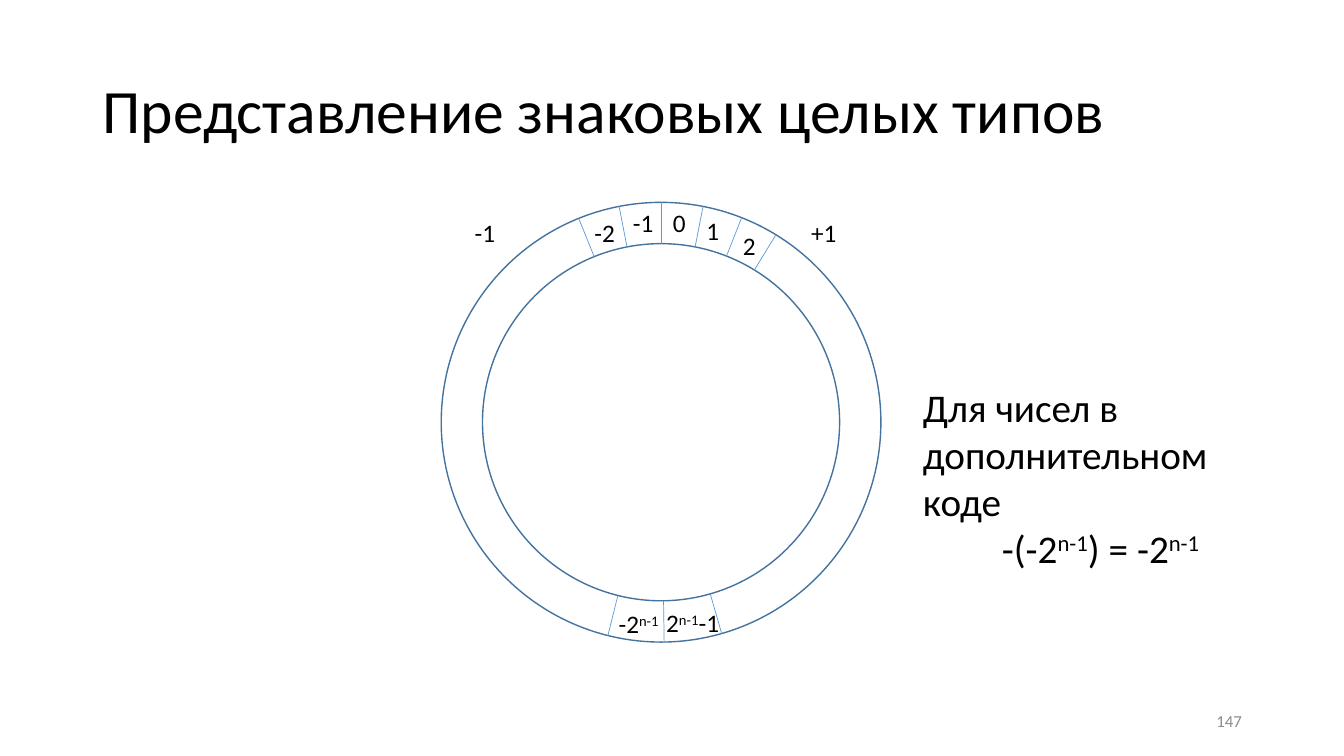
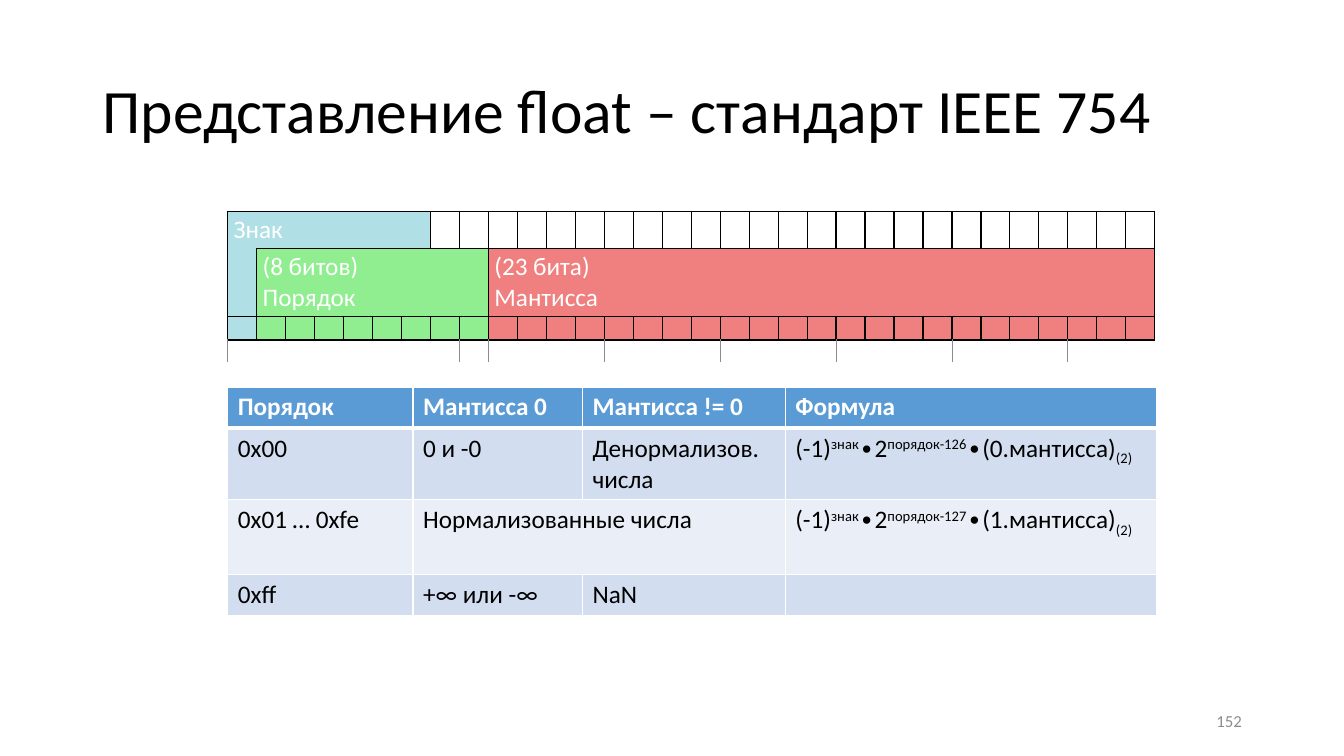
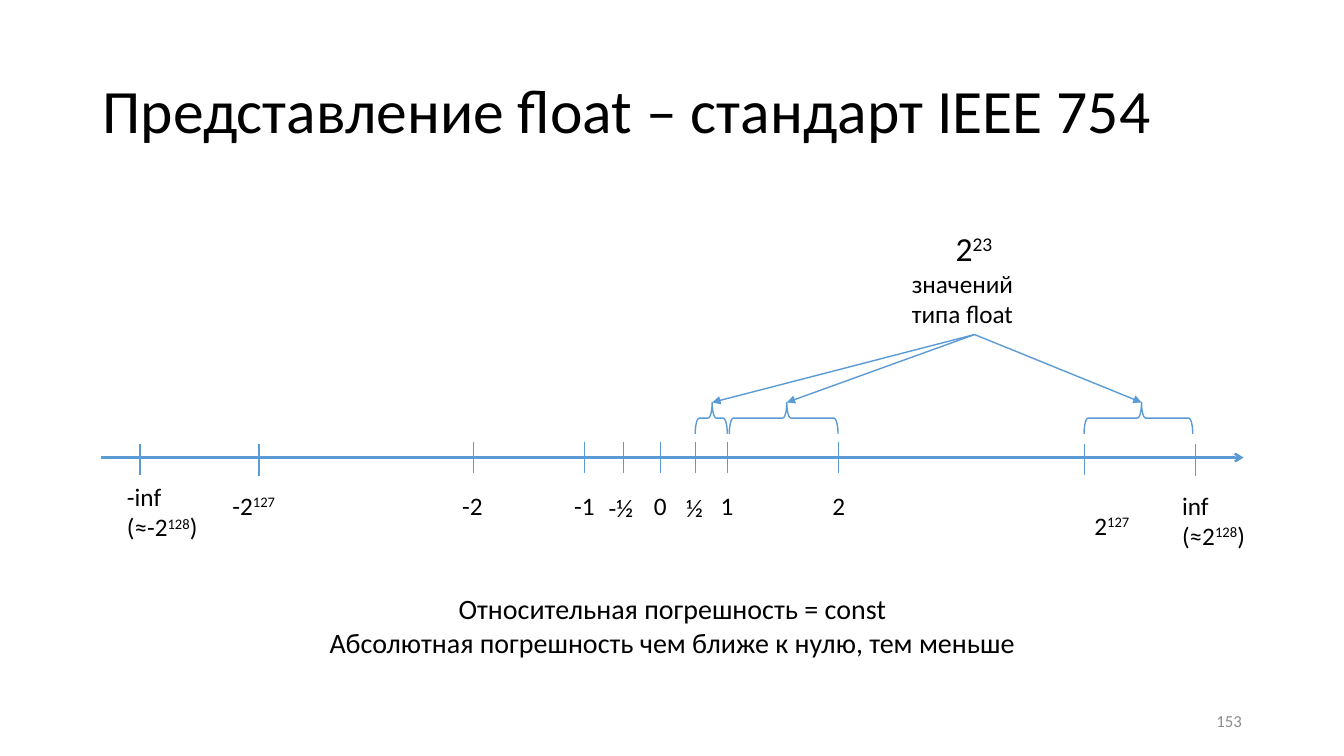
from dataclasses import dataclass, field
from itertools import accumulate
from math import cos, radians, sin
from typing import Any, Iterator, Optional

from lxml.etree import SubElement
from pptx import Presentation
from pptx.dml.color import RGBColor
from pptx.dml.fill import FillFormat
from pptx.enum.shapes import MSO_CONNECTOR as Link, MSO_SHAPE as Preset
from pptx.enum.text import MSO_ANCHOR as Anchor, MSO_AUTO_SIZE as AutoSize, PP_ALIGN as Align
from pptx.oxml.ns import qn
from pptx.shapes.autoshape import Shape
from pptx.slide import Slide
from pptx.table import Table, _Cell as TableCell
from pptx.text.text import TextFrame
from pptx.util import Cm, Pt

FONT = "Calibri"
BLACK, WHITE, GREY = "000000", "FFFFFF", "8C8C8C"
BLUE, RING_BLUE = "5B9BD5", "43739E"
SIGN, EXPONENT, MANTISSA = "B0E0E6", "90EE90", "F08080"
BAND_DARK, BAND_LIGHT = "D2DEEF", "EAEFF7"
PLAIN_TABLE = "{2D5ABB26-0587-4C30-8999-92F81FD0307C}"
FLOAT_TITLE = "Представление float – стандарт IEEE 754"

Edge = tuple[str, float]


@dataclass(frozen=True)
class Para:
    text: str
    size: float = 18
    align: Optional[Align] = None
    spacing: Optional[float] = None
    colour: str = BLACK
    bold: bool = False


@dataclass(frozen=True)
class Label:
    paras: tuple[Para, ...]
    left: float
    top: float
    width: float
    height: float = 1.02
    wrap: bool = False
    anchor: Anchor = Anchor.TOP
    auto: AutoSize = AutoSize.SHAPE_TO_FIT_TEXT


@dataclass(frozen=True)
class Mark:
    x: float
    text: str
    left: float
    width: float
    tick_top: float = 11.13
    top: float = 12.22
    height: float = 1.02


@dataclass(frozen=True)
class Brace:
    left: float
    span: float
    top: float = 10.14
    depth: float = 0.79
    bend: float = 0.13
    tip: float = 0.529

    @property
    def tip_x(self) -> float:
        return self.left + self.tip * self.span


@dataclass(frozen=True)
class Cell:
    text: str = ""
    span: int = 1
    fill: Optional[str] = None
    edges: dict[str, Edge] = field(default_factory=dict)
    colour: str = WHITE
    bold: bool = False


@dataclass(frozen=True)
class Grid:
    top: float
    widths: tuple[float, ...]
    heights: tuple[float, ...]
    rows: list[list[Cell]]
    cell_format: dict[str, Any] = field(default_factory=dict)
    empty_size: float = 18
    left: float = 5.74


def apply(target: Any, values: dict[str, Any]) -> None:
    for name, value in values.items():
        setattr(target, name, value)


def rgb(code: str) -> RGBColor:
    return RGBColor.from_string(code)


def paint(fill: FillFormat, code: Optional[str]) -> None:
    if code is None:
        fill.background()
    else:
        fill.solid()
        fill.fore_color.rgb = rgb(code)


def script_parts(text: str) -> Iterator[tuple[str, int]]:
    for i, outer in enumerate(text.split("^")):
        if i % 2:
            yield outer, 30000
            continue
        for j, inner in enumerate(outer.split("_")):
            if inner:
                yield inner, -25000 if j % 2 else 0


def write(frame: TextFrame, paras: tuple[Para, ...]) -> None:
    for index, para in enumerate(paras):
        paragraph = frame.add_paragraph() if index else frame.paragraphs[0]
        apply(paragraph, {"alignment": para.align, "line_spacing": para.spacing})
        for part, baseline in script_parts(para.text):
            for number, line in enumerate(part.split("\n")):
                if number:
                    paragraph.add_line_break()
                run = paragraph.add_run()
                run.text = line
                apply(run.font, {"name": FONT, "size": Pt(para.size), "bold": para.bold})
                run.font.color.rgb = rgb(para.colour)
                if baseline:
                    run.font._element.set("baseline", str(baseline))


def draw_label(slide: Slide, label: Label) -> None:
    box = slide.shapes.add_textbox(
        Cm(label.left), Cm(label.top), Cm(label.width), Cm(label.height))
    apply(box.text_frame, {"word_wrap": label.wrap, "auto_size": label.auto,
                           "vertical_anchor": label.anchor})
    write(box.text_frame, label.paras)


def draw_line(slide: Slide, x1: float, y1: float, x2: float, y2: float,
              width: float = 1, head: Optional[str] = None) -> None:
    line = slide.shapes.add_connector(Link.STRAIGHT, Cm(x1), Cm(y1), Cm(x2), Cm(y2))
    line.line.color.rgb = rgb(BLUE)
    line.line.width = Pt(width)
    properties = line._element.spPr
    if head:
        SubElement(properties.get_or_add_ln(), qn("a:tailEnd"), type=head)
    SubElement(properties, qn("a:effectLst"))


def draw_outline(slide: Slide, preset: Preset, left: float, top: float,
                 width: float, height: float, code: str) -> Shape:
    shape = slide.shapes.add_shape(preset, Cm(left), Cm(top), Cm(width), Cm(height))
    shape.shadow.inherit = False
    paint(shape.fill, None)
    shape.line.color.rgb = rgb(code)
    shape.line.width = Pt(1)
    return shape


def draw_brace(slide: Slide, brace: Brace) -> None:
    shift = (brace.span - brace.depth) / 2
    shape = draw_outline(slide, Preset.RIGHT_BRACE, brace.left + shift, brace.top - shift,
                         brace.depth, brace.span, BLUE)
    shape.rotation = 270
    shape.adjustments[0] = brace.bend
    shape.adjustments[1] = brace.tip


def draw_edges(cell: TableCell, edges: dict[str, Edge]) -> None:
    properties = cell._tc.get_or_add_tcPr()
    for side in "LRTB":
        if side in edges:
            code, width = edges[side]
            line = SubElement(properties, qn(f"a:ln{side}"), w=str(int(Pt(width))))
            SubElement(SubElement(line, qn("a:solidFill")), qn("a:srgbClr"), val=code)


def fill_row(table: Table, row: int, specs: list[Cell], grid: Grid) -> None:
    starts = accumulate((spec.span for spec in specs), initial=0)
    for column, spec in zip(starts, specs):
        cell = table.cell(row, column)
        if spec.span > 1:
            cell.merge(table.cell(row, column + spec.span - 1))
        apply(cell, grid.cell_format)
        draw_edges(cell, spec.edges)
        paint(cell.fill, spec.fill)
        write(cell.text_frame, (Para(spec.text, colour=spec.colour, bold=spec.bold),))


def draw_grid(slide: Slide, grid: Grid) -> None:
    table = slide.shapes.add_table(
        len(grid.heights), len(grid.widths), Cm(grid.left), Cm(grid.top),
        Cm(sum(grid.widths)), Cm(sum(grid.heights))).table
    apply(table, {"first_row": False, "horz_banding": False})
    table._tbl.tblPr.find(qn("a:tableStyleId")).text = PLAIN_TABLE
    for column, width in zip(table.columns, grid.widths):
        column.width = Cm(width)
    for row, height in zip(table.rows, grid.heights):
        row.height = Cm(height)
    for cell in table.iter_cells():
        apply(cell, grid.cell_format)
        ending = cell.text_frame.paragraphs[0]._p.get_or_add_endParaRPr()
        ending.set("sz", str(int(grid.empty_size * 100)))
    for row, specs in enumerate(grid.rows):
        fill_row(table, row, specs, grid)


def start_slide(deck: Any, title: str, number: int) -> Slide:
    slide = deck.slides.add_slide(deck.slide_layouts[6])
    paint(slide.background.fill, WHITE)
    fixed = {"wrap": True, "anchor": Anchor.MIDDLE, "auto": AutoSize.NONE}
    draw_label(slide, Label((Para(title, 44, spacing=0.9),), 2.34, 1.01, 29.21, 3.68, **fixed))
    draw_label(slide, Label((Para(str(number), 12, Align.RIGHT, colour=GREY),),
                            23.93, 17.65, 7.62, **fixed))
    return slide


def build_ring(deck: Any) -> None:
    slide = start_slide(deck, "Представление знаковых целых типов", 147)
    centre_x, centre_y, outer, inner = 16.66, 10.64, 5.54, 4.5
    for radius in (outer, inner):
        draw_outline(slide, Preset.OVAL, centre_x - radius, centre_y - radius,
                     2 * radius, 2 * radius, RING_BLUE)
    for degrees in (-22, -11, 0, 11, 21.5, 31.5, 164, 179.2, 194):
        dx, dy = sin(radians(degrees)), -cos(radians(degrees))
        draw_line(slide, centre_x + outer * dx, centre_y + outer * dy,
                  centre_x + inner * dx, centre_y + inner * dy, 0.5)
    for text, left, top, width, wrap in (
        ("0", 16.71, 5.11, 0.84, False),
        ("1", 17.55, 5.31, 0.84, False),
        ("2", 18.47, 5.69, 0.84, False),
        ("-1", 15.7, 5.11, 1.12, True),
        ("-2", 14.73, 5.36, 1.14, True),
        ("-2^n-1^", 15.34, 15.21, 1.68, True),
        ("2^n-1^-1", 16.54, 15.19, 2.72, True),
        ("+1", 20.19, 5.36, 1.17, False),
        ("-1", 11.71, 5.36, 1.04, False),
    ):
        draw_label(slide, Label((Para(text),), left, top, width, wrap=wrap))
    draw_label(slide, Label((
        Para("Для чисел в дополнительном коде", 28),
        Para("-(-2^n-1^) = -2^n-1^", 28, Align.CENTER),
    ), 23.01, 9.53, 9.45, 6.25, wrap=True))


def bit_grid() -> Grid:
    solid, faint = (BLACK, 1), (GREY, 0.6)
    box = dict.fromkeys("LRTB", solid)
    bits = ((SIGN, 1), (EXPONENT, 8), (MANTISSA, 23))
    scale = ((4, True), (4, False), (1, True), (4, False), (4, True),
             (4, False), (4, True), (4, False), (3, True))
    return Grid(
        top=5.33, widths=(0.73,) * 32, heights=(0.93, 1.7, 0.59, 0.56),
        rows=[
            [Cell("Знак", 7, SIGN, dict.fromkeys("LRT", solid))] + [Cell(edges=box)] * 25,
            [Cell(fill=SIGN, edges=dict.fromkeys("LRB", solid)),
             Cell("(8 битов)\nПорядок", 8, EXPONENT, box),
             Cell("(23 бита)\nМантисса", 23, MANTISSA, box)],
            [Cell(fill=code, edges=box) for code, count in bits for _ in range(count)],
            [Cell(span=span, edges={"T": solid, "L": faint} if marked else {"T": solid})
             for span, marked in scale],
        ],
        cell_format={"margin_left": Cm(0.15), "margin_right": Cm(0.15),
                     "margin_top": Cm(0.08), "margin_bottom": Cm(0.08),
                     "vertical_anchor": Anchor.MIDDLE},
        empty_size=8)


def value_grid() -> Grid:
    thin = dict.fromkeys("LRTB", (WHITE, 1))
    heavy = (WHITE, 3)

    def formula(bias: int, lead: int) -> str:
        return f"(-1)^знак^∙2^порядок-{bias}^∙({lead}.мантисса)_(2)_"

    body = (
        (BAND_DARK, (("0x00", 1), ("0 и -0", 1), ("Денормализов. числа", 1),
                     (formula(126, 0), 1))),
        (BAND_LIGHT, (("0x01 … 0xfe", 1), ("Нормализованные числа", 2), (formula(127, 1), 1))),
        (BAND_DARK, (("0xff", 1), ("+∞ или -∞", 1), ("NaN", 1), ("", 1))),
    )
    header = [Cell(text, fill=BLUE, edges={**thin, "B": heavy}, bold=True)
              for text in ("Порядок", "Мантисса 0", "Мантисса != 0", "Формула")]
    rows = [[Cell(text, span, code, {**thin, "T": thin["T"] if index else heavy}, BLACK)
             for text, span in texts] for index, (code, texts) in enumerate(body)]
    return Grid(top=9.75, widths=(4.67, 4.27, 5.11, 9.37),
                heights=(1.04, 1.78, 1.88, 1.04), rows=[header] + rows)


def build_format(deck: Any) -> None:
    slide = start_slide(deck, FLOAT_TITLE, 152)
    draw_grid(slide, bit_grid())
    draw_grid(slide, value_grid())


MARKS = (
    Mark(3.53, "-inf\n(≈-2^128^)", 2.95, 2.44, 11.18, 12.01, 1.8),
    Mark(6.53, "-2^127^", 5.61, 1.68, 11.2),
    Mark(11.94, "-2", 11.4, 1.04),
    Mark(14.73, "-1", 14.22, 1.04),
    Mark(15.72, "-½ ", 15.09, 1.3, top=12.29),
    Mark(16.64, "0", 16.23, 0.84),
    Mark(17.53, "½ ", 17.04, 1.09, top=12.29),
    Mark(18.34, "1", 17.91, 0.84),
    Mark(21.13, "2", 20.73, 0.84),
    Mark(27.33, "2^127^", 27.33, 1.5, 11.18, 12.73),
    Mark(30.12, "inf\n(≈2^128^)", 29.54, 2.24, 11.2, height=1.8),
)
BRACES = (Brace(27.32, 2.74), Brace(17.52, 0.81), Brace(18.38, 2.74))


def build_axis(deck: Any) -> None:
    slide = start_slide(deck, FLOAT_TITLE, 153)
    draw_line(slide, 2.54, 11.53, 31.34, 11.53, 1.75, "arrow")
    for mark in MARKS:
        draw_line(slide, mark.x, mark.tick_top, mark.x, mark.tick_top + 0.79)
        draw_label(slide, Label((Para(mark.text),), mark.left, mark.top, mark.width, mark.height))
    draw_label(slide, Label((
        Para("2^23^", 24, Align.CENTER),
        Para("значений типа float"),
    ), 22.73, 5.61, 3.63, 2.82, wrap=True))
    for brace in BRACES:
        draw_brace(slide, brace)
        draw_line(slide, 24.56, 8.43, brace.tip_x, brace.top, head="triangle")
    draw_label(slide, Label((
        Para("Относительная погрешность = const\n"
             "Абсолютная погрешность чем ближе к нулю, тем меньше", 20, Align.CENTER),
    ), 7.98, 14.78, 17.93, 1.96))


def main() -> None:
    deck = Presentation()
    apply(deck, {"slide_width": Cm(33.87), "slide_height": Cm(19.05)})
    for build in (build_ring, build_format, build_axis):
        build(deck)
    deck.save("out.pptx")


main()
